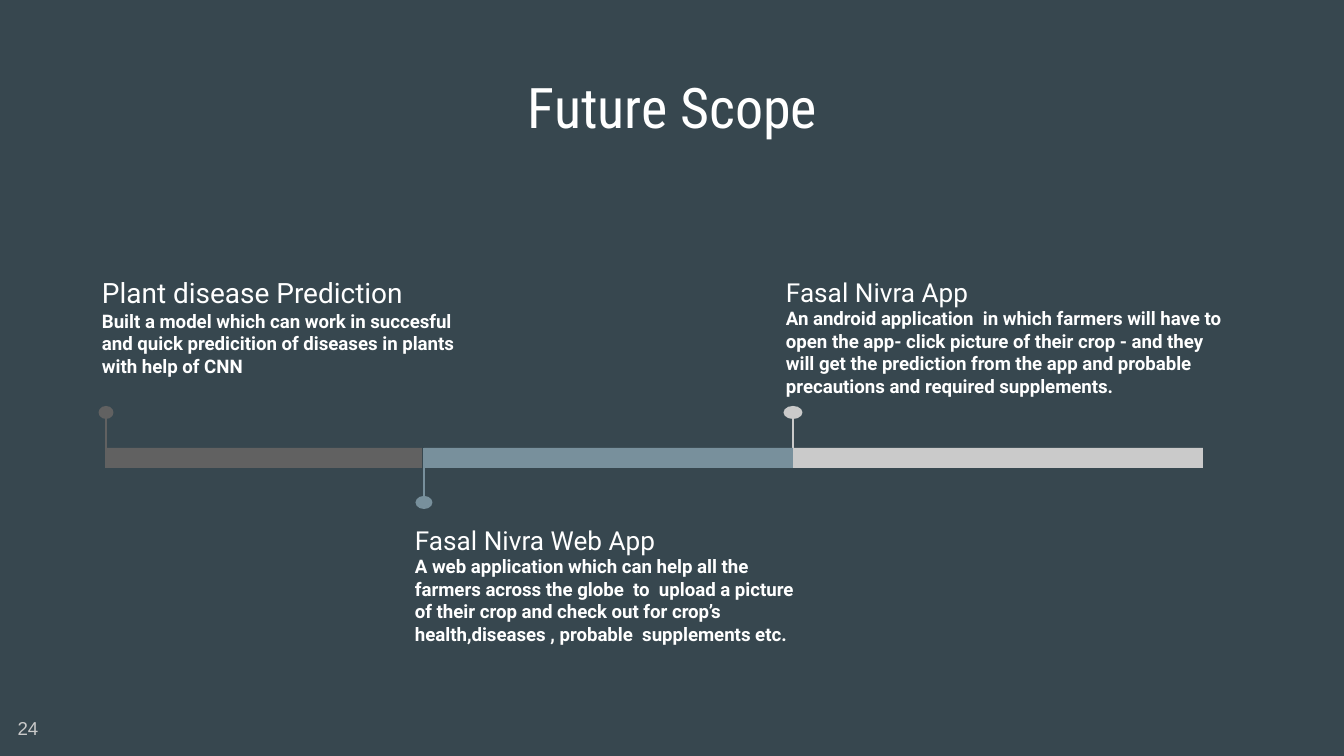
"""Build the Future Scope timeline slide."""
from lxml.etree import SubElement
from pptx import Presentation
from pptx.dml.color import RGBColor
from pptx.enum.shapes import MSO_CONNECTOR as Connector, MSO_SHAPE as Shape
from pptx.enum.text import MSO_ANCHOR as Anchor, PP_ALIGN as Align
from pptx.oxml.ns import qn
from pptx.util import Emu, Pt

SLATE = RGBColor(0x37, 0x47, 0x4F)
WHITE = RGBColor(0xFF, 0xFF, 0xFF)
GRAY = RGBColor(0x61, 0x61, 0x61)
BLUE = RGBColor(0x78, 0x90, 0x9C)
SILVER = RGBColor(0xCA, 0xCA, 0xCA)

EMU_PER_PX = 914400 / 134.4
BAR_TOP, BAR_HEIGHT = 448, 20
DOT_HEIGHT = 13


def px(length):
    return Emu(round(length * EMU_PER_PX))


class Timeline:
    def __init__(self, slide):
        self.slide = slide
        self.shapes = slide.shapes
        slide.background.fill.solid()
        slide.background.fill.fore_color.rgb = SLATE

    def style(self, paragraph, size, font, color=WHITE, bold=False):
        for run in paragraph.runs:
            run.font.size = Pt(size)
            run.font.name = font
            run.font.color.rgb = color
            run.font.bold = bold

    def frame(self, left, top, width, height, inset=0):
        frame = self.shapes.add_textbox(*map(px, (left, top, width, height))).text_frame
        frame.word_wrap = True
        frame.margin_left = frame.margin_right = px(inset)
        frame.margin_top = frame.margin_bottom = px(inset)
        return frame

    def label(self, text, box, size, font, color):
        frame = self.frame(*box)
        frame.vertical_anchor = Anchor.MIDDLE
        frame.text = text
        frame.paragraphs[0].alignment = Align.CENTER
        self.style(frame.paragraphs[0], size, font, color)

    def block(self, kind, box, color):
        block = self.shapes.add_shape(kind, *map(px, box))
        block.shadow.inherit = False
        block.fill.solid()
        block.fill.fore_color.rgb = color
        block.line.fill.background()

    def stem(self, x, start, end, color):
        stem = self.shapes.add_connector(Connector.STRAIGHT, *map(px, (x, start, x, end)))
        stem.line.color.rgb = color
        stem.line.width = Pt(0.75)
        SubElement(stem._element.spPr, qn("a:effectLst"))

    def note(self, heading, detail, size, box):
        frame = self.frame(*box, inset=13)
        frame.text = heading
        self.style(frame.paragraphs[0], size, "Roboto")
        body = frame.add_paragraph()
        body.text = detail
        body.space_after = Pt(16)
        self.style(body, 10, "Roboto", bold=True)

    def milestone(self, heading, detail, size, color, bar, stem_x, dot_width, note_box, below=False):
        bar_left, bar_right = bar
        bar_bottom = BAR_TOP + BAR_HEIGHT
        dot_top = 496 if below else 406
        self.block(Shape.RECTANGLE, (bar_left, BAR_TOP, bar_right - bar_left, BAR_HEIGHT), color)
        self.stem(stem_x, dot_top + 7, BAR_TOP if below else bar_bottom, color)
        self.block(Shape.OVAL, (stem_x - dot_width / 2, dot_top, dot_width, DOT_HEIGHT), color)
        note_left, note_width = note_box
        self.note(heading, detail, size, (note_left, 511 if below else 263, note_width, 142))


def main():
    deck = Presentation()
    deck.slide_width, deck.slide_height = px(1344), px(756)
    timeline = Timeline(deck.slides.add_slide(deck.slide_layouts[6]))
    timeline.label("Future Scope", (176, 38, 993, 136), 30, "Roboto Condensed", WHITE)
    timeline.label("24", (0, 700, 56, 56), 10, "Arial", SILVER)
    timeline.milestone(
        "Fasal Nivra App",
        "An android application  in which farmers will have to open the app- click picture "
        "of their crop - and they will get the prediction from the app and probable "
        "precautions and required supplements.",
        14, SILVER, (793, 1203), 793, 19, (773, 472))
    timeline.milestone(
        "Plant disease Prediction",
        "Built a model which can work in succesful and quick predicition of diseases "
        "in plants with help of CNN",
        15, GRAY, (106, 422), 106, 15, (89, 383))
    timeline.milestone(
        "Fasal Nivra Web App",
        "A web application which can help all the farmers across the globe  to  upload "
        "a picture of their crop and check out for crop’s health,diseases , probable  "
        "supplements etc.",
        14, BLUE, (424, 793), 424, 17, (402, 425), below=True)
    deck.save("out.pptx")


if __name__ == "__main__":
    main()
